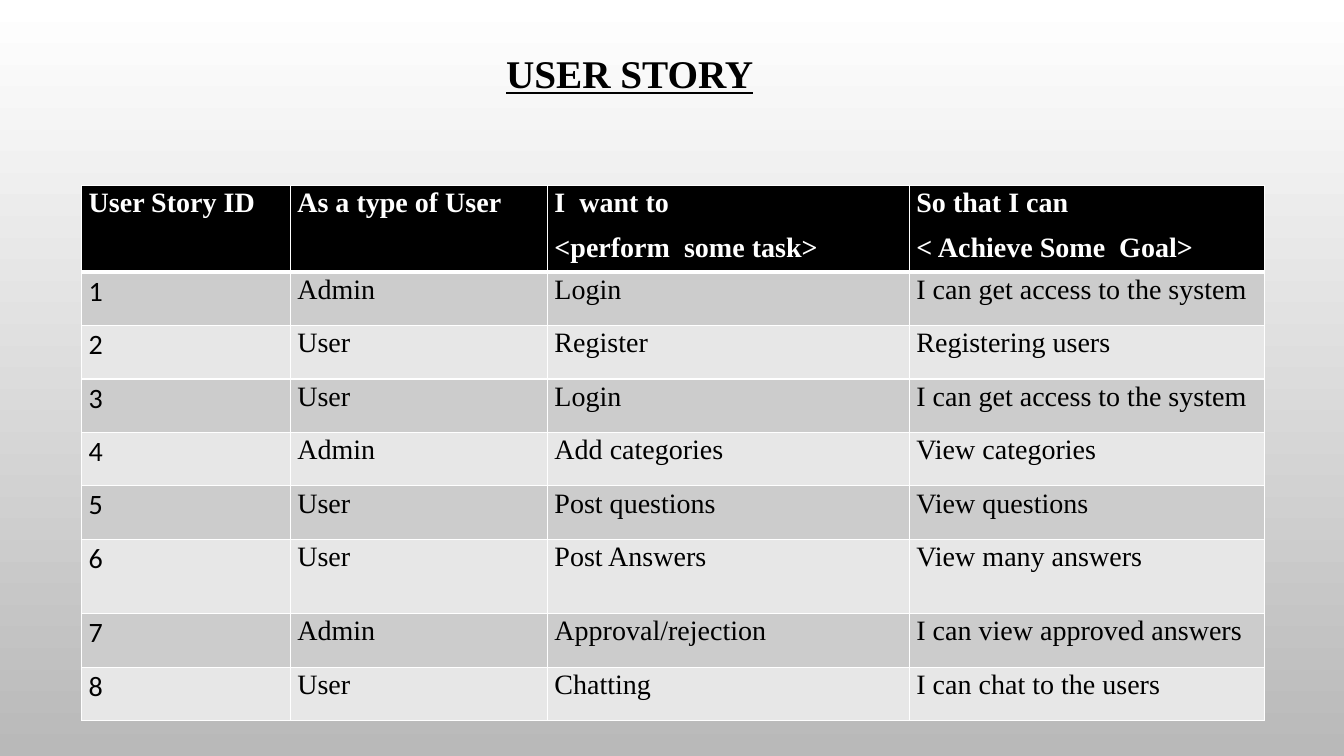
from pptx import Presentation
from pptx.util import Inches, Pt
from pptx.dml.color import RGBColor
from pptx.enum.text import MSO_ANCHOR as Anchor, PP_ALIGN as Align
from pptx.oxml import parse_xml
from pptx.oxml.ns import nsdecls

SERIF, SANS = "Times New Roman", "Calibri"
BLACK, WHITE = "000000", "FFFFFF"
BANDS = ["CCCCCC", "E7E7E7"]

HEADS = ["User Story ID", "As a type of User",
         "I  want to \n<perform  some task>",
         "So that I can\n< Achieve Some  Goal>"]
STORIES = [
    ("Admin", "Login", "I can get access to the system"),
    ("User", "Register", "Registering users"),
    ("User", "Login", "I can get access to the system"),
    ("Admin", "Add categories", "View categories"),
    ("User", "Post questions", "View questions"),
    ("User", "Post Answers", "View many answers"),
    ("Admin", "Approval/rejection", "I can view approved answers"),
    ("User", "Chatting", "I can chat to the users"),
]
WIDTHS = [2.07, 2.55, 3.59, 3.52]
HEIGHTS = [0.86] + [0.53] * 5 + [0.74] + [0.53] * 2


def rgb(code):
    return RGBColor.from_string(code)


def apply(item, **values):
    for name, value in values.items():
        setattr(item, name, value)


def style(para, color, spacing, **font):
    apply(para, **spacing)
    for run in para.runs:
        apply(run.font, **font)
        run.font.color.rgb = rgb(color)


def edge(cell, side, width):
    cell._tc.get_or_add_tcPr().append(parse_xml(
        f'<a:ln{side} {nsdecls("a")} w="{Pt(width)}"><a:solidFill>'
        f'<a:srgbClr val="{WHITE}"/></a:solidFill></a:ln{side}>'))


# Backdrop
def shade(slide):
    fill = slide.background.fill
    fill.gradient()
    fill.gradient_angle = 270
    for stop, code in zip(fill.gradient_stops, [WHITE, "B9B9B9"]):
        stop.color.rgb = rgb(code)


# Title
def add_title(slide, left, top, width, height):
    title = slide.shapes.title
    apply(title, left=Inches(left), top=Inches(top),
          width=Inches(width), height=Inches(height))
    frame = title.text_frame
    frame.text = "USER STORY"
    apply(frame, vertical_anchor=Anchor.MIDDLE, word_wrap=True,
          margin_bottom=Inches(0.7))
    style(frame.paragraphs[0], BLACK,
          dict(alignment=Align.CENTER, line_spacing=0.9),
          name=SERIF, size=Pt(28), bold=True, underline=True)


# Table cell
def fill_cell(cell, text, row, col):
    head = row == 0
    cell.text = text
    apply(cell, margin_left=Inches(0.07), margin_right=Inches(0.07),
          margin_top=0, margin_bottom=0, vertical_anchor=Anchor.TOP)
    for side in "LRTB":
        thick = (side, row) in [("B", 0), ("T", 1)]
        edge(cell, side, 3 if thick else 1)
    cell.fill.solid()
    cell.fill.fore_color.rgb = rgb(BLACK if head else BANDS[(row - 1) % 2])
    for para in cell.text_frame.paragraphs:
        style(para, WHITE if head else BLACK,
              dict(line_spacing=1.07, space_after=Pt(8)),
              name=SANS if col == 0 and not head else SERIF,
              size=Pt(20), bold=head)


# Story table
def add_stories(slide, left, top):
    rows = [HEADS] + [(str(n), *story) for n, story in enumerate(STORIES, 1)]
    table = slide.shapes.add_table(
        len(rows), len(WIDTHS), Inches(left), Inches(top),
        Inches(sum(WIDTHS)), Inches(sum(HEIGHTS))).table
    for column, width in zip(table.columns, WIDTHS):
        column.width = Inches(width)
    for line, height in zip(table.rows, HEIGHTS):
        line.height = Inches(height)
    for r, texts in enumerate(rows):
        for c, text in enumerate(texts):
            fill_cell(table.cell(r, c), text, r, c)


deck = Presentation()
apply(deck, slide_width=Inches(13.33), slide_height=Inches(7.5))
slide = deck.slides.add_slide(deck.slide_layouts[5])
shade(slide)
add_title(slide, 0.58, 0.31, 11.33, 1.54)
add_stories(slide, 0.81, 1.84)
deck.save("out.pptx")
